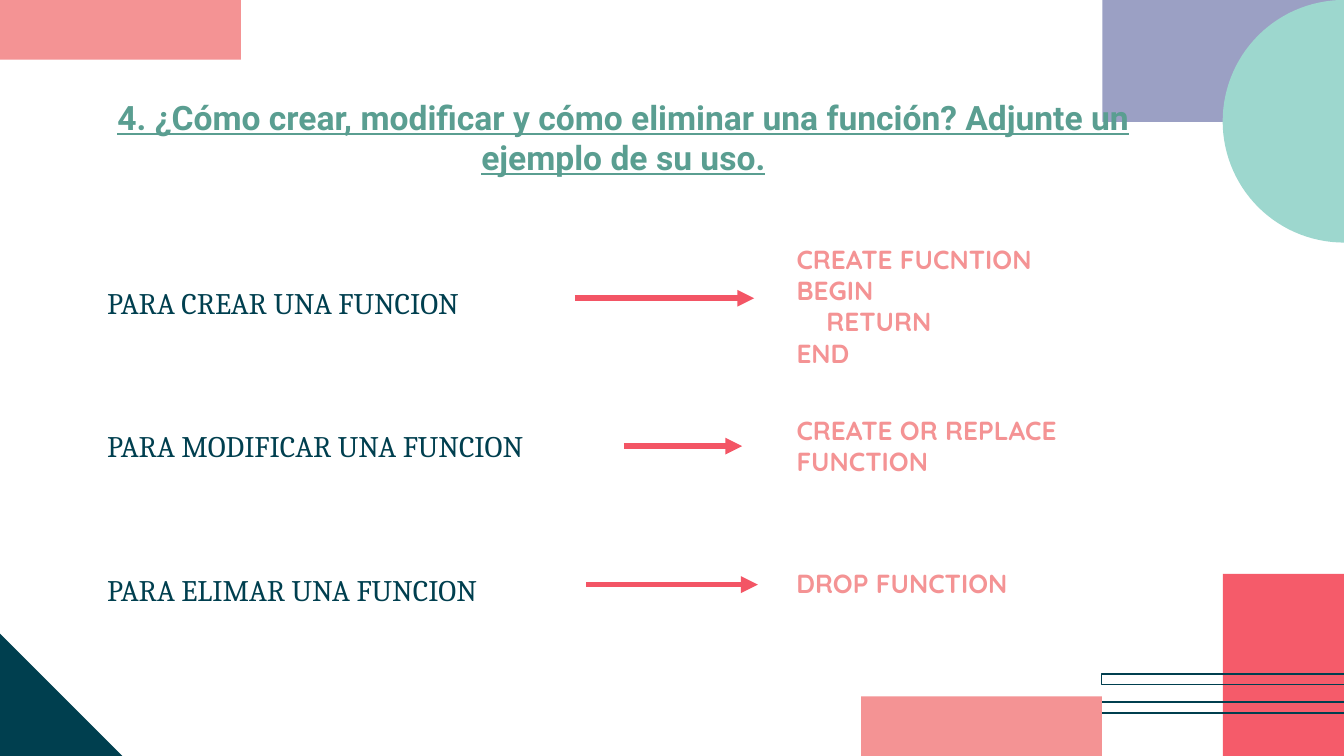
from dataclasses import dataclass
from math import cos, pi, sin

from lxml import etree
from pptx import Presentation
from pptx.dml.color import RGBColor
from pptx.enum.shapes import MSO_CONNECTOR, MSO_SHAPE
from pptx.enum.text import MSO_ANCHOR, MSO_AUTO_SIZE, PP_ALIGN
from pptx.oxml.ns import qn
from pptx.util import Pt

RECTANGLE, TRIANGLE = MSO_SHAPE.RECTANGLE, MSO_SHAPE.RIGHT_TRIANGLE
STRAIGHT = MSO_CONNECTOR.STRAIGHT
TOP, MIDDLE = MSO_ANCHOR.TOP, MSO_ANCHOR.MIDDLE
LEFT, CENTER = PP_ALIGN.LEFT, PP_ALIGN.CENTER
NO_AUTOFIT = MSO_AUTO_SIZE.NONE


@dataclass(frozen=True)
class Theme:
    pink: str = "F49394"
    lilac: str = "9BA0C4"
    navy: str = "003F4F"
    mint: str = "9DD7CE"
    red: str = "F55B6A"
    arrow: str = "F35565"
    green: str = "5A9E91"
    title_size: int = 18
    label_size: int = 16
    code_size: int = 14


theme = Theme()
title_font = {"name": "Roboto", "size": Pt(theme.title_size), "bold": True, "underline": True}
label_font = {"name": "Cambria", "size": Pt(theme.label_size), "bold": False}
code_font = {"name": "Quicksand", "size": Pt(theme.code_size), "bold": True}


def paint(shape, fill=None, line=None):
    shape.shadow.inherit = False
    if fill:
        shape.fill.solid()
        shape.fill.fore_color.rgb = RGBColor.from_string(fill)
    else:
        shape.fill.background()
    if line:
        shape.line.color.rgb = RGBColor.from_string(line)
        shape.line.width = Pt(0.75)
    else:
        shape.line.fill.background()


def write(box, frame, lines, font, color, inset=3.6, anchor=TOP, align=LEFT):
    box.left, box.top, box.width, box.height = map(Pt, frame)
    text = box.text_frame
    settings = {
        "word_wrap": True, "auto_size": NO_AUTOFIT, "vertical_anchor": anchor,
        "margin_left": Pt(19.2), "margin_right": Pt(7.2),
        "margin_top": Pt(inset), "margin_bottom": Pt(inset),
    }
    for name, value in settings.items():
        setattr(text, name, value)
    for index, (words, indent) in enumerate(lines):
        para = text.add_paragraph() if index else text.paragraphs[0]
        para.alignment = align
        if indent:
            para._p.get_or_add_pPr().set("marL", str(Pt(indent)))
        span = para.add_run()
        span.text = words
        for name, value in font.items():
            setattr(span.font, name, value)
        span.font.color.rgb = RGBColor.from_string(color)


deck = Presentation()
deck.slide_width, deck.slide_height = Pt(720), Pt(405)
page = deck.slides.add_slide(deck.slide_layouts[5])
shapes = page.shapes

decorations = [
    (RECTANGLE, (0, 0, 129, 32), theme.pink, None),
    (RECTANGLE, (590.6, 0, 129.4, 65.3), theme.lilac, None),
    (TRIANGLE, (0, 339.5, 65.5, 65.5), theme.navy, None),
    (RECTANGLE, (655.2, 307.4, 64.8, 97.6), theme.red, None),
    (RECTANGLE, (590.2, 361, 132, 5.8), None, theme.navy),
    (RECTANGLE, (590.2, 376.1, 132, 5.8), None, theme.navy),
    (RECTANGLE, (461.3, 373, 129, 32), theme.pink, None),
]
for kind, frame, fill, line in decorations:
    paint(shapes.add_shape(kind, *map(Pt, frame)), fill, line)

radius, steps = 65, 60
arc = [
    (Pt(720 - radius * sin(pi * step / steps)), Pt(radius - radius * cos(pi * step / steps)))
    for step in range(steps + 1)
]
builder = shapes.build_freeform(*arc[0])
builder.add_line_segments(arc[1:], close=True)
paint(builder.convert_to_shape(), theme.mint)

title = shapes.title
title.element.getparent().append(title.element)
heading = "4. ¿Cómo crear, modificar y cómo eliminar una función? Adjunte un ejemplo de su uso."
write(title, (38.2, 44.6, 579.6, 60), [(heading, 0)], title_font, theme.green, 7.2, align=CENTER)

rows = [
    ("PARA CREAR UNA FUNCION", (308, 404), 159.8, (126.7, 245.5, 75),
     [("CREATE FUCNTION", 0), ("BEGIN", 0), ("RETURN", 16), ("END", 0)]),
    ("PARA MODIFICAR UNA FUNCION", (334.2, 397.6), 239, (218.2, 190, 41),
     [("CREATE OR REPLACE FUNCTION", 0)]),
    ("PARA ELIMAR UNA FUNCION", (314, 406), 313.2, (300.5, 275.8, 24.2),
     [("DROP FUNCTION", 0)]),
]
for index, (label, (start, end), arrow_y, (top, width, height), code) in enumerate(rows):
    label_frame = (38.2, 146 + 76.9 * index, 270, 32)
    write(shapes.add_textbox(0, 0, 0, 0), label_frame, [(label, 0)], label_font, theme.navy, anchor=MIDDLE)
    write(shapes.add_textbox(0, 0, 0, 0), (407.5, top, width, height), code, code_font, theme.pink)
    arrow = shapes.add_connector(STRAIGHT, Pt(start), Pt(arrow_y), Pt(end), Pt(arrow_y))
    arrow.line.color.rgb = RGBColor.from_string(theme.arrow)
    arrow.line.width = Pt(3)
    etree.SubElement(arrow.line._get_or_add_ln(), qn("a:tailEnd"), type="triangle")
    etree.SubElement(arrow.element.spPr, qn("a:effectLst"))

deck.save("out.pptx")
